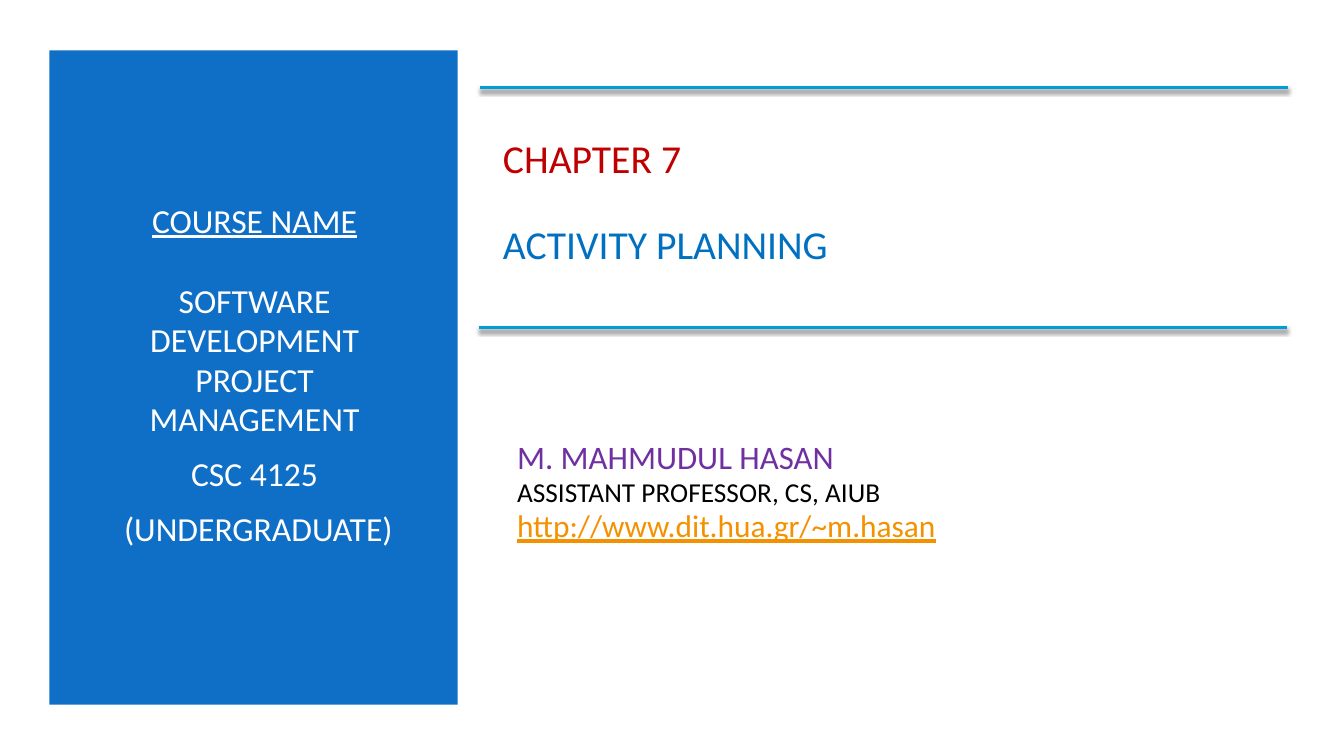
from dataclasses import dataclass

from lxml import etree
from pptx import Presentation
from pptx.dml.color import RGBColor
from pptx.enum.shapes import MSO_CONNECTOR, MSO_SHAPE
from pptx.enum.text import MSO_ANCHOR, PP_ALIGN
from pptx.oxml.ns import qn
from pptx.util import Inches, Pt

STRAIGHT = MSO_CONNECTOR.STRAIGHT
RECTANGLE = MSO_SHAPE.RECTANGLE
MIDDLE = MSO_ANCHOR.MIDDLE
LEFT, CENTER = PP_ALIGN.LEFT, PP_ALIGN.CENTER


@dataclass(frozen=True)
class Theme:
    font: str = "Calibri"
    white: str = "FFFFFF"
    black: str = "000000"
    panel: str = "0F6FC6"
    rule: str = "009DD9"
    chapter: str = "C00000"
    topic: str = "0070C0"
    author: str = "7030A0"
    link: str = "F49100"
    course_size: float = 24
    title_size: float = 28.3
    author_size: float = 23.4
    role_size: float = 19.5
    link_size: float = 22.4


THEME = Theme()


@dataclass(frozen=True)
class Line:
    text: str
    size: float
    color: str
    underline: bool = False
    gap: float = 0


def add_panel(page, left, top, width, height):
    panel = page.shapes.add_shape(
        RECTANGLE, Inches(left), Inches(top), Inches(width), Inches(height))
    panel.shadow.inherit = False
    panel.fill.solid()
    panel.fill.fore_color.rgb = RGBColor.from_string(THEME.panel)
    panel.line.fill.background()


def add_text(page, left, top, width, height, lines, align=LEFT, spacing=1.0):
    """Add a vertically centred box; each line's gap is its space before."""
    box = page.shapes.add_textbox(
        Inches(left), Inches(top), Inches(width), Inches(height))
    frame = box.text_frame
    frame.word_wrap = True
    frame.vertical_anchor = MIDDLE
    for index, line in enumerate(lines):
        para = frame.add_paragraph() if index else frame.paragraphs[0]
        para.text = line.text
        para.alignment = align
        para.line_spacing = spacing
        if line.gap:
            para.space_before = Pt(line.gap)
        para.font.name = THEME.font
        para.font.size = Pt(line.size)
        para.font.color.rgb = RGBColor.from_string(line.color)
        para.font.underline = line.underline


def add_rule(page, left, top, width):
    """Add a horizontal line with a soft shadow below it."""
    rule = page.shapes.add_connector(
        STRAIGHT, Inches(left), Inches(top), Inches(left + width), Inches(top))
    rule.line.color.rgb = RGBColor.from_string(THEME.rule)
    rule.line.width = Pt(2)
    effects = etree.SubElement(rule._element.spPr, qn("a:effectLst"))
    shadow = etree.SubElement(
        effects, qn("a:outerShdw"), blurRad=str(Pt(3)), dist=str(Pt(2)),
        dir="5400000", algn="ctr", rotWithShape="0")
    color = etree.SubElement(shadow, qn("a:srgbClr"), val=THEME.black)
    etree.SubElement(color, qn("a:alpha"), val="55000")


def main():
    deck = Presentation()
    deck.slide_width, deck.slide_height = Inches(13.33), Inches(7.5)
    page = deck.slides.add_slide(deck.slide_layouts[6])

    add_panel(page, 0.49, 0.5, 4.05, 6.49)
    size, white = THEME.course_size, THEME.white
    add_text(page, 0.84, 1.1, 3.37, 5.25, [
        Line("COURSE NAME", size, white, underline=True),
        Line("SOFTWARE DEVELOPMENT PROJECT MANAGEMENT", size, white, gap=28.8),
        Line("CSC 4125", size, white, gap=10.8),
        Line(" (UNDERGRADUATE)", size, white, gap=10.8),
    ], align=CENTER, spacing=0.98)

    add_text(page, 4.89, 1.1, 7.85, 1.84, [
        Line("CHAPTER 7", THEME.title_size, THEME.chapter),
        Line("ACTIVITY PLANNING", THEME.title_size, THEME.topic, gap=31),
    ], spacing=0.9)

    add_text(page, 5.03, 4.1, 6.66, 1.56, [
        Line("M. MAHMUDUL HASAN", THEME.author_size, THEME.author),
        Line("ASSISTANT PROFESSOR, CS, AIUB", THEME.role_size, THEME.black),
        Line("http://www.dit.hua.gr/~m.hasan", THEME.link_size, THEME.link,
             underline=True),
    ], spacing=0.97)

    for left, top in ((4.76, 0.87), (4.75, 3.25)):
        add_rule(page, left, top, 8.01)

    deck.save("out.pptx")


if __name__ == "__main__":
    main()
